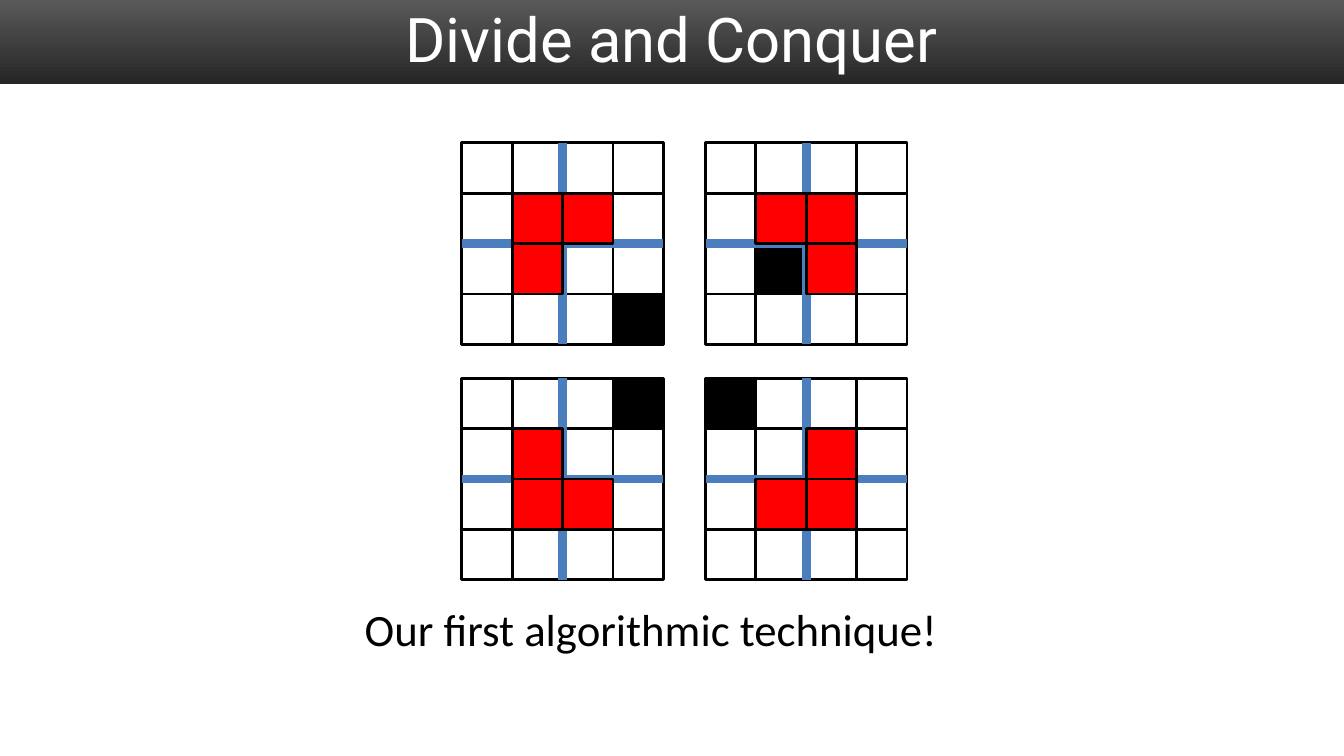
"""Builds the slide that tiles four boards by divide and conquer."""
from lxml import etree
from pptx import Presentation
from pptx.dml.color import RGBColor
from pptx.enum.shapes import MSO_CONNECTOR, MSO_SHAPE
from pptx.enum.text import MSO_ANCHOR, PP_ALIGN
from pptx.oxml.ns import qn
from pptx.util import Cm, Pt

RECT = MSO_SHAPE.RECTANGLE
LINE = MSO_CONNECTOR.STRAIGHT
MIDDLE, TOP = MSO_ANCHOR.MIDDLE, MSO_ANCHOR.TOP
CENTER, LEFT = PP_ALIGN.CENTER, PP_ALIGN.LEFT

COLORS = {"white": "FFFFFF", "black": "000000", "red": "FF0000",
          "blue": "4B7EBC", "light": "595959", "dark": "262626"}
CELL = 1.27
SIZE = 4
HALF = SIZE // 2
BOARDS = [(11.64, 3.6, (3, 3)), (17.78, 3.6, (2, 1)),
          (11.64, 9.53, (0, 3)), (17.78, 9.53, (0, 0))]


def rgb(name):
    """Return the named colour."""
    return RGBColor.from_string(COLORS[name])


def add_banner(slide, width):
    """Draw the shaded band behind the title."""
    band = slide.shapes.add_shape(RECT, 0, 0, width, Cm(2.12))
    band.shadow.inherit = False
    band.line.fill.background()
    band.fill.gradient()
    band.fill.gradient_angle = 270
    for stop, name in zip(band.fill.gradient_stops, ("light", "dark")):
        stop.color.rgb = rgb(name)


def add_text(slide, text, box, font, size, color, align=LEFT, anchor=TOP):
    """Add one line of text in a box given in centimetres."""
    frame = slide.shapes.add_textbox(*map(Cm, box)).text_frame
    frame.word_wrap = True
    frame.vertical_anchor = anchor
    frame.text = text
    para = frame.paragraphs[0]
    para.alignment = align
    style = para.runs[0].font
    style.name, style.size, style.color.rgb = font, Pt(size), rgb(color)


def add_cell(group, left, top, spot, fill=None):
    """Add one square of a board at a row and column."""
    row, col = spot
    cell = group.shapes.add_shape(RECT, Cm(left + col * CELL),
                                  Cm(top + row * CELL), Cm(CELL), Cm(CELL))
    cell.shadow.inherit = False
    cell.line.color.rgb = rgb("black")
    cell.line.width = Pt(2)
    if fill:
        cell.fill.solid()
        cell.fill.fore_color.rgb = rgb(fill)
    else:
        cell.fill.background()


def add_split(slide, start, end):
    """Draw a blue line that halves a board."""
    split = slide.shapes.add_connector(LINE, *map(Cm, start + end))
    split.line.color.rgb = rgb("blue")
    split.line.width = Pt(6)
    etree.SubElement(split._element.spPr, qn("a:effectLst"))


def add_board(slide, left, top, hole):
    """Draw a board, its halving lines and the red piece in its centre."""
    spots = [(row, col) for row in range(SIZE) for col in range(SIZE)]
    corner = tuple(HALF - 1 + n // HALF for n in hole)
    centre = range(HALF - 1, HALF + 1)
    piece = [(row, col) for row in centre for col in centre
             if (row, col) != corner]

    grid = slide.shapes.add_group_shape()
    for spot in spots:
        if spot not in piece:
            add_cell(grid, left, top, spot, "black" if spot == hole else None)

    side, mid = SIZE * CELL, HALF * CELL
    add_split(slide, (left + mid, top), (left + mid, top + side))
    add_split(slide, (left + side, top + mid), (left, top + mid))

    tile = slide.shapes.add_group_shape()
    for spot in piece:
        add_cell(tile, left, top, spot, "red")


def main():
    """Build the slide and save it."""
    deck = Presentation()
    deck.slide_width, deck.slide_height = Cm(33.87), Cm(19.05)
    slide = deck.slides.add_slide(deck.slide_layouts[6])
    add_banner(slide, deck.slide_width)
    add_text(slide, "Divide and Conquer", (1.69, -0.64, 30.48, 3.18),
             "Roboto", 44, "white", CENTER, MIDDLE)
    for left, top, hole in BOARDS:
        add_board(slide, left, top, hole)
    add_text(slide, "Our first algorithmic technique!",
             (8.94, 15.03, 17.81, 1.62), "Calibri", 32, "black")
    deck.save("out.pptx")


if __name__ == "__main__":
    main()
